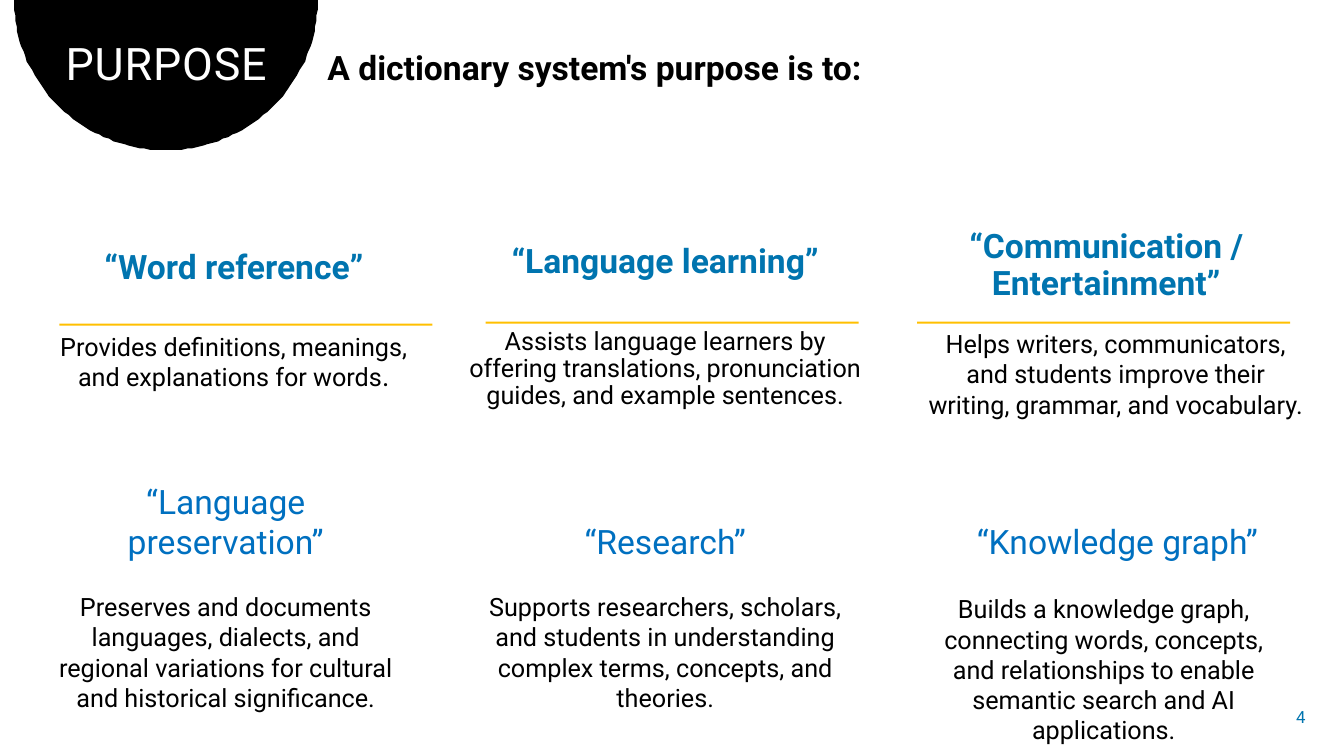
"""Build the slide that lists the purposes of a dictionary system."""
from dataclasses import dataclass
from math import cos, pi, sin

from pptx import Presentation
from pptx.dml.color import RGBColor
from pptx.enum.shapes import MSO_SHAPE as Preset
from pptx.enum.text import MSO_ANCHOR as Anchor, PP_ALIGN as Align
from pptx.slide import Slide
from pptx.util import Pt


@dataclass(frozen=True)
class Theme:
    font: str = "Roboto"
    black: str = "000000"
    white: str = "FFFFFF"
    teal: str = "0074AF"
    blue: str = "0070C0"
    gold: str = "FFC000"
    title: float = 32
    heading: float = 24
    full_stop: float = 20
    body: float = 18
    number: float = 12


THEME = Theme()


@dataclass(frozen=True)
class Span:
    text: str
    size: float = THEME.body
    color: str = THEME.black
    bold: bool = False
    tracking: float = 0


@dataclass(frozen=True)
class Para:
    spans: tuple[Span, ...]
    before: float = 0
    line: float = 1.0
    align: Align = Align.CENTER


@dataclass(frozen=True)
class TextBlock:
    left: float
    top: float
    width: float
    height: float
    paras: tuple[Para, ...]
    anchor: Anchor = Anchor.TOP
    wrap: bool = True


@dataclass(frozen=True)
class Rule:
    left: float
    top: float
    width: float = 266.4
    height: float = 1.44


def upper_heading(text: str) -> Para:
    """Return a bold heading for the upper row."""
    return Para((Span(text, THEME.heading, THEME.teal, True),), line=0.9)


def lower_heading(text: str) -> Para:
    """Return a plain heading for the lower row."""
    return Para((Span(text, THEME.heading, THEME.blue),))


def body(text: str, before: float = 0, line: float = 1.0) -> Para:
    """Return a centred description."""
    return Para((Span(text),), before, line)


RULES = (Rule(347, 229.7), Rule(655.2, 229.7), Rule(42.5, 231.1))

BLOCKS = (
    TextBlock(20.9, 175.7, 292.3, 111.7, (
        upper_heading("“Word reference”"),
        Para((Span("Provides definitions, meanings, and explanations for words"),
              Span(".", THEME.full_stop)), 34, 0.9),
    )),
    TextBlock(324, 171.4, 302.4, 126.7, (
        upper_heading("“Language learning”"),
        body("Assists language learners by offering translations, pronunciation "
             "guides, and example sentences.", 34, 0.9),
    )),
    TextBlock(641.5, 160.6, 297.4, 59.8, (
        upper_heading("“Communication / Entertainment”"),
    )),
    TextBlock(655.2, 231.1, 283.7, 72.7, (
        body("Helps writers, communicators, and students improve their writing, "
             "grammar, and vocabulary."),
    )),
    TextBlock(28.1, 339.8, 266.4, 174.2, (
        lower_heading("“Language preservation”"),
        body("Preserves and documents languages, dialects, and regional "
             "variations for cultural and historical significance.", 21.6),
    )),
    TextBlock(342, 368.6, 266.4, 145.4, (
        lower_heading("“Research”"),
        body("Supports researchers, scholars, and students in understanding "
             "complex terms, concepts, and theories.", 21.6),
    )),
    TextBlock(672.5, 368.6, 251.3, 87.1, (lower_heading("“Knowledge graph”"),)),
    TextBlock(659.5, 420.5, 257.8, 116.6, (
        body("Builds a knowledge graph, connecting words, concepts, and "
             "relationships to enable semantic search and AI applications."),
    )),
    TextBlock(25.2, 26.6, 187.2, 42.5, (
        Para((Span("PURPOSE", THEME.title, THEME.white, tracking=0.6),), line=0.9),
    )),
    TextBlock(226.8, 33.1, 715, 33.1, (
        Para((Span("A dictionary system's purpose is to:", THEME.heading, bold=True),),
             line=0.9, align=Align.LEFT),
    )),
    TextBlock(900, 497.5, 39.6, 28.8, (
        Para((Span("4", THEME.number, THEME.teal),), align=Align.RIGHT),
    ), Anchor.MIDDLE, False),
)


def paint(shape, color: str) -> None:
    """Give a shape a flat fill with no outline or shadow."""
    shape.shadow.inherit = False
    shape.fill.solid()
    shape.fill.fore_color.rgb = RGBColor.from_string(color)
    shape.line.fill.background()


def draw_half_disc(page: Slide, center: float, across: float, down: float) -> None:
    """Draw the rounded title backdrop hanging from the top edge."""
    steps = 90
    points = [(center + across * cos(pi * step / steps), down * sin(pi * step / steps))
              for step in range(steps + 1)]
    builder = page.shapes.build_freeform(*points[0], scale=float(Pt(1)))
    builder.add_line_segments(points[1:], close=True)
    paint(builder.convert_to_shape(), THEME.black)


def draw_rule(page: Slide, rule: Rule) -> None:
    """Draw a thin divider under a heading."""
    bar = page.shapes.add_shape(Preset.RECTANGLE, Pt(rule.left), Pt(rule.top),
                                Pt(rule.width), Pt(rule.height))
    paint(bar, THEME.gold)


def draw_text(page: Slide, block: TextBlock) -> None:
    """Draw a text block run by run."""
    box = page.shapes.add_textbox(Pt(block.left), Pt(block.top),
                                  Pt(block.width), Pt(block.height))
    frame = box.text_frame
    frame.word_wrap = block.wrap
    frame.vertical_anchor = block.anchor
    for index, para in enumerate(block.paras):
        paragraph = frame.add_paragraph() if index else frame.paragraphs[0]
        paragraph.alignment = para.align
        paragraph.line_spacing = para.line
        paragraph.space_before = Pt(para.before)
        for span in para.spans:
            run = paragraph.add_run()
            run.text = span.text
            run.font.name = THEME.font
            run.font.size = Pt(span.size)
            run.font.bold = span.bold
            run.font.color.rgb = RGBColor.from_string(span.color)
            if span.tracking:
                run.font._element.set("spc", str(round(span.tracking * 100)))


def main() -> None:
    """Assemble and save the deck."""
    deck = Presentation()
    deck.slide_width, deck.slide_height = Pt(960), Pt(540)
    page = deck.slides.add_slide(deck.slide_layouts[6])
    draw_half_disc(page, 118.5, 108.4, 107.3)
    for rule in RULES:
        draw_rule(page, rule)
    for block in BLOCKS:
        draw_text(page, block)
    deck.save("out.pptx")


if __name__ == "__main__":
    main()
